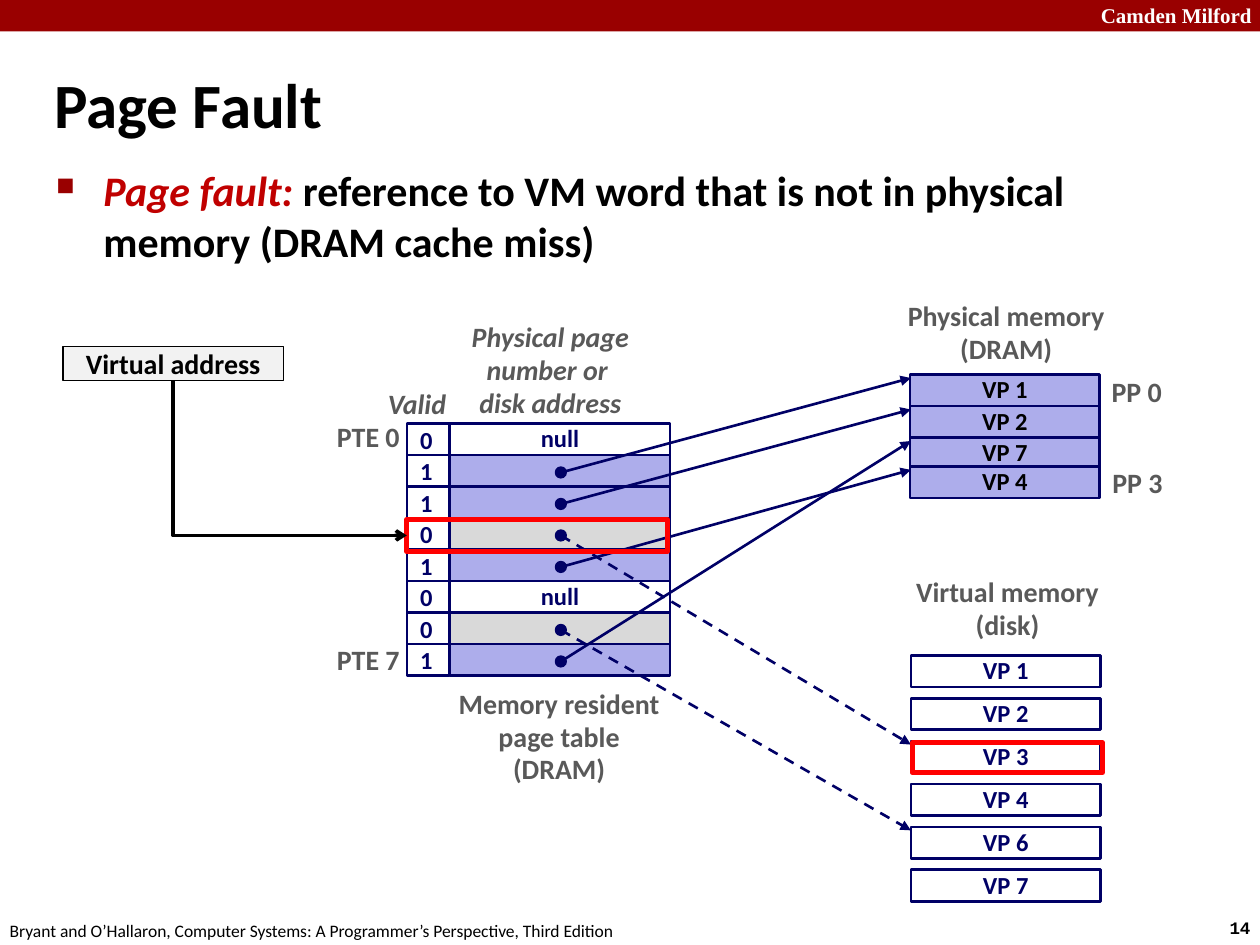
from lxml import etree
from pptx import Presentation
from pptx.dml import color
from pptx.enum import dml, shapes, text
from pptx.oxml import ns
from pptx.util import Pt

NAVY, LILAC, GREY, WHITE = "000066", "ADADEB", "D9D9D9", "FFFFFF"
BLACK, LABEL, RED, CRIMSON = "000000", "595959", "FF0000", "990000"
LEFT, CENTER, RIGHT = text.PP_ALIGN.LEFT, text.PP_ALIGN.CENTER, text.PP_ALIGN.RIGHT
TOP, MIDDLE = text.MSO_ANCHOR.TOP, text.MSO_ANCHOR.MIDDLE


def rgb(value):
    return color.RGBColor.from_string(value)


def sub(parent, tag, **attributes):
    return etree.SubElement(parent, ns.qn(tag), attributes)


class Diagram:
    """Holds the shared style and the slide being drawn."""

    font = "Calibri"
    line_color = NAVY
    line_width = 1.5
    spacing = 0.98

    def __init__(self, slide):
        self.slide = slide

    def set_text(self, shape, words, size, ink, align=CENTER, anchor=MIDDLE, bold=True,
                 italic=None, font=None, spacing=spacing, wrap=False):
        frame = shape.text_frame
        frame.text = words
        frame.word_wrap = wrap
        frame.vertical_anchor = anchor
        for paragraph in frame.paragraphs:
            paragraph.alignment = align
            paragraph.line_spacing = spacing
            paragraph.font.name = font or self.font
            paragraph.font.size = Pt(size)
            paragraph.font.bold = bold
            paragraph.font.italic = italic
            paragraph.font.color.rgb = rgb(ink)

    def label(self, x, y, width, height, words, size=16, ink=LABEL, **style):
        box = self.slide.shapes.add_textbox(Pt(x), Pt(y), Pt(width), Pt(height))
        self.set_text(box, words, size, ink, **style)
        return box

    def box(self, x, y, width, height, fill=None, line=line_color, weight=line_width,
            kind=shapes.MSO_SHAPE.RECTANGLE):
        shape = self.slide.shapes.add_shape(kind, Pt(x), Pt(y), Pt(width), Pt(height))
        shape.shadow.inherit = False
        if fill:
            shape.fill.solid()
            shape.fill.fore_color.rgb = rgb(fill)
        else:
            shape.fill.background()
        if line:
            shape.line.color.rgb = rgb(line)
            shape.line.width = Pt(weight)
        else:
            shape.line.fill.background()
        return shape

    def dot(self, x, y, size=6):
        self.box(x - size / 2, y - size / 2, size, size, NAVY, weight=1,
                 kind=shapes.MSO_SHAPE.OVAL)

    def finish_line(self, connector, ink, weight, head):
        connector.line.color.rgb = rgb(ink)
        connector.line.width = Pt(weight)
        properties = connector._element.spPr
        sub(properties.find(ns.qn("a:ln")), "a:tailEnd", type=head)
        sub(properties, "a:effectLst")

    def arrow(self, x1, y1, x2, y2, dashed=False):
        connector = self.slide.shapes.add_connector(
            shapes.MSO_CONNECTOR.STRAIGHT, Pt(x1), Pt(y1), Pt(x2), Pt(y2))
        if dashed:
            connector.line.dash_style = dml.MSO_LINE.DASH
        self.finish_line(connector, self.line_color, self.line_width, "triangle")

    def corner_arrow(self, source, target):
        """Go down from the bottom of source, then right to the left side of target."""
        connector = self.slide.shapes.add_connector(shapes.MSO_CONNECTOR.ELBOW, 0, 0, 0, 0)
        connector.begin_connect(source, 2)
        connector.end_connect(target, 1)
        across, down = connector.width, connector.height
        # A quarter turn about the centre swaps the two extents.
        connector.left += (across - down) // 2
        connector.top += (down - across) // 2
        connector.width, connector.height = down, across
        properties = connector._element.spPr
        frame = properties.find(ns.qn("a:xfrm"))
        frame.set("rot", "16200000")
        frame.set("flipH", "1")
        properties.find(ns.qn("a:prstGeom")).set("prst", "bentConnector2")
        self.finish_line(connector, BLACK, 2, "arrow")

    def bullet(self, x, y, width, height, term, words):
        shape = self.label(x, y, width, height, "", 24, BLACK, align=LEFT, anchor=TOP,
                           spacing=None, wrap=True)
        paragraph = shape.text_frame.paragraphs[0]
        paragraph.space_before = Pt(4.8)
        lead = paragraph.add_run()
        lead.text = term
        lead.font.italic = True
        lead.font.color.rgb = rgb("C00000")
        paragraph.add_run().text = words
        properties = paragraph._p.get_or_add_pPr()
        properties.set("marL", str(Pt(27)))
        properties.set("indent", str(Pt(-27)))
        tint = sub(properties, "a:buClr")
        sub(tint, "a:srgbClr", val=CRIMSON)
        marks = [tint, sub(properties, "a:buSzPct", val="60000"),
                 sub(properties, "a:buChar", char="■")]
        for mark in marks:
            properties.find(ns.qn("a:defRPr")).addprevious(mark)


def draw_frame(diagram):
    diagram.box(0, 0, 720, 18, CRIMSON, line=None)
    plain = dict(ink=BLACK, align=LEFT, anchor=TOP, spacing=None)
    diagram.label(622, -2, 103, 21.6, "Camden Milford", 12, WHITE, align=LEFT, anchor=TOP,
                  font="Times New Roman", spacing=None, wrap=True)
    diagram.label(695.5, 520.5, 32, 19.4, "14", 10, font="Courier New", **plain)
    diagram.label(-1.5, 522, 366, 19.4, "Bryant and O’Hallaron, Computer Systems: "
                  "A Programmer’s Perspective, Third Edition", 10, bold=False, **plain)
    diagram.label(24, 28, 652, 62, "Page Fault", 36, BLACK, align=LEFT, spacing=None, wrap=True)
    diagram.bullet(25, 90.5, 654, 60, "Page fault: ",
                   "reference to VM word that is not in physical memory (DRAM cache miss)")


def draw_page_table(diagram):
    """Draw the rows; return the middle of each pointer cell by row."""
    row_height, top = 18, 242
    rows = [("0", WHITE), ("1", LILAC), ("1", LILAC), ("0", GREY),
            ("1", LILAC), ("0", WHITE), ("0", GREY), ("1", LILAC)]
    middles = []
    for index, (valid, fill) in enumerate(rows):
        y = top + index * row_height
        entry = diagram.box(257, y, 126, row_height, fill)
        if fill == WHITE:
            diagram.set_text(entry, "null", 14, NAVY)
        diagram.box(232.5, y, 24, row_height)
        diagram.label(233, y - 2, 22.5, 24, valid, 14, NAVY, align=LEFT, anchor=TOP)
        middles.append(y + row_height / 2 + 1)
    diagram.label(214.5, 218, 54, 26.5, "Valid", align=LEFT, anchor=TOP, italic=True, wrap=True)
    diagram.label(262, 180, 105, 64, "Physical page\nnumber or \ndisk address", italic=True)
    diagram.label(185, 237, 50.5, 26.5, "PTE 0", align=RIGHT)
    diagram.label(185, 364.5, 50.5, 26.5, "PTE 7", align=RIGHT)
    diagram.label(253, 389.5, 133, 64, "Memory resident\npage table\n(DRAM)", anchor=TOP)
    return middles


def draw_memories(diagram):
    """Draw both memories; return the tops of their pages by page name."""
    physical = {"VP 1": 214, "VP 2": 232, "VP 7": 250, "VP 4": 266.5}
    virtual = {f"VP {page}": 374.5 + 24.5 * index
               for index, page in enumerate((1, 2, 3, 4, 6, 7))}
    for pages, x, fill, ink in ((physical, 520, LILAC, BLACK), (virtual, 520.5, WHITE, NAVY)):
        for name, y in pages.items():
            diagram.set_text(diagram.box(x, y, 108.5, 18, fill), name, 14, ink)
    diagram.label(511, 168, 128, 45.5, "Physical memory\n(DRAM)", anchor=TOP)
    diagram.label(515, 325.5, 121.5, 45.5, "Virtual memory\n(disk)", anchor=TOP)
    diagram.label(628, 211, 43, 26.5, "PP 0")
    diagram.label(628.5, 263, 43, 26.5, "PP 3")
    return physical, virtual


def main():
    presentation = Presentation()
    presentation.slide_width, presentation.slide_height = Pt(720), Pt(540)
    diagram = Diagram(presentation.slides.add_slide(presentation.slide_layouts[6]))
    draw_frame(diagram)
    middles = draw_page_table(diagram)
    physical, virtual = draw_memories(diagram)

    pointers = {1: (physical, "VP 1"), 2: (physical, "VP 2"), 3: (virtual, "VP 3"),
                4: (physical, "VP 4"), 6: (virtual, "VP 6"), 7: (physical, "VP 7")}
    for row, (memory, page) in pointers.items():
        diagram.dot(320.5, middles[row])
        diagram.arrow(320.5, middles[row], 520.5, memory[page] + 2, dashed=memory is virtual)

    address = diagram.box(36, 198, 126, 19.5, "F2F2F2", BLACK, 1)
    diagram.set_text(address, "Virtual address", 16, BLACK, spacing=None, wrap=True)
    fault = diagram.box(232.5, 297, 149, 18, line=RED, weight=3)
    diagram.box(521.5, virtual["VP 3"] + 1, 108.5, 17, line=RED, weight=3)
    diagram.corner_arrow(address, fault)
    presentation.save("out.pptx")


if __name__ == "__main__":
    main()
